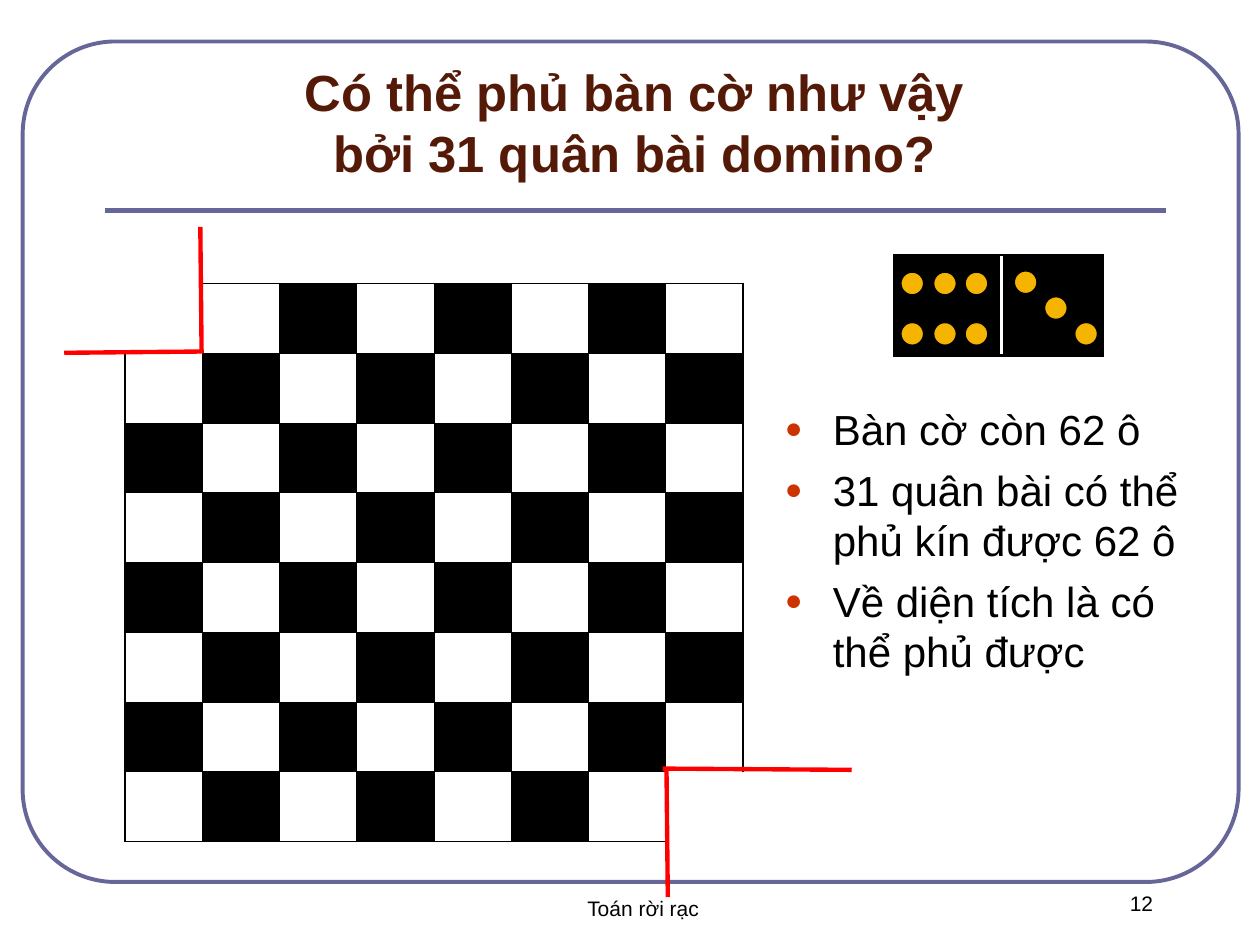
from itertools import product

from lxml.etree import SubElement
from pptx import Presentation
from pptx.dml.color import RGBColor
from pptx.enum.shapes import MSO_CONNECTOR as CONN, MSO_SHAPE as SHAPE
from pptx.enum.text import MSO_ANCHOR as ANCHOR, MSO_AUTO_SIZE as AUTO, PP_ALIGN as ALIGN
from pptx.oxml.ns import qn
from pptx.util import Inches, Pt

BLACK = RGBColor(0x00, 0x00, 0x00)
WHITE = RGBColor(0xFF, 0xFF, 0xFF)
SLATE = RGBColor(0x66, 0x66, 0x99)
BROWN = RGBColor(0x55, 0x1A, 0x07)
RUST = RGBColor(0xCC, 0x33, 0x00)
GOLD = RGBColor(0xF4, 0xB4, 0x00)
RED = RGBColor(0xFF, 0x00, 0x00)

FONT = "Arial"
N = 8
REMOVED = {(0, 0), (N - 1, N - 1)}
THIN, THICK = 0.45, 1.08


def place(sp, box):
    sp.left, sp.top, sp.width, sp.height = (Inches(v) for v in box)


def format_runs(p, size, color, bold=False):
    for r in p.runs:
        r.font.name, r.font.size, r.font.bold = FONT, Pt(size), bold
        r.font.color.rgb = color


def add_line(shapes, x1, y1, x2, y2, color, width):
    line = shapes.add_connector(CONN.STRAIGHT, Inches(x1), Inches(y1), Inches(x2), Inches(y2))
    line.line.color.rgb = color
    line.line.width = Pt(width)
    SubElement(line._element.spPr, qn("a:effectLst"))


def add_table(slide, rows, cols, box):
    table = slide.shapes.add_table(rows, cols, *(Inches(v) for v in box)).table
    table.first_row = table.horz_banding = False
    return table


def set_borders(cell, widths):
    """Widths run left, right, top, bottom; zero means no line."""
    tc_pr = cell._tc.get_or_add_tcPr()
    for side, width in zip("LRTB", widths):
        ln = SubElement(tc_pr, qn(f"a:ln{side}"), w=str(int(Pt(width))))
        if width:
            fill = SubElement(ln, qn("a:solidFill"))
            SubElement(fill, qn("a:srgbClr"), val=str(BLACK))
        else:
            SubElement(ln, qn("a:noFill"))


def fill_cell(cell, dark):
    if dark:
        cell.fill.solid()
        cell.fill.fore_color.rgb = BLACK
    else:
        cell.fill.background()


def add_frame(slide, box):
    sp = slide.shapes.add_shape(SHAPE.ROUNDED_RECTANGLE, *(Inches(v) for v in box))
    sp.adjustments[0] = 0.11
    sp.shadow.inherit = False
    sp.fill.background()
    sp.line.color.rgb = SLATE
    sp.line.width = Pt(2.25)
    add_line(slide.shapes, 0.83, 1.67, 9.25, 1.67, SLATE, 3)


def add_title(slide, box):
    sp = slide.shapes.title
    place(sp, box)
    tf = sp.text_frame
    tf.text = "Có thể phủ bàn cờ như vậy\vbởi 31 quân bài domino?"
    tf.auto_size = AUTO.NONE
    tf.vertical_anchor = ANCHOR.BOTTOM
    p = tf.paragraphs[0]
    p.alignment = ALIGN.CENTER
    format_runs(p, 29, BROWN, bold=True)


def add_bullets(slide, box, items):
    sp = slide.placeholders[1]
    place(sp, box)
    tf = sp.text_frame
    tf.text = "\n".join(items)
    tf.auto_size = AUTO.NONE
    for p in tf.paragraphs:
        p.space_before = Pt(6)
        format_runs(p, 24, BLACK)
        p_pr = p._p.get_or_add_pPr()
        p_pr.set("marL", str(Inches(0.38)))
        p_pr.set("indent", str(-Inches(0.38)))
        SubElement(SubElement(p_pr, qn("a:buClr")), qn("a:srgbClr"), val=str(RUST))
        SubElement(p_pr, qn("a:buSzPct"), val="70000")
        SubElement(p_pr, qn("a:buFont"), typeface=FONT)
        SubElement(p_pr, qn("a:buChar"), char="●")


def add_footer(slide, box, text):
    tf = slide.shapes.add_textbox(*(Inches(v) for v in box)).text_frame
    tf.word_wrap = True
    tf.text = text
    tf.paragraphs[0].alignment = ALIGN.CENTER
    format_runs(tf.paragraphs[0], 12, BLACK)


def edge_width(square, neighbour):
    if square in REMOVED or neighbour in REMOVED:
        return 0
    return THIN if all(0 <= i < N for i in neighbour) else THICK


def add_board(slide, box):
    table = add_table(slide, N, N, box)
    for row, col in product(range(N), repeat=2):
        cell = table.cell(row, col)
        neighbours = (row, col - 1), (row, col + 1), (row - 1, col), (row + 1, col)
        set_borders(cell, [edge_width((row, col), n) for n in neighbours])
        fill_cell(cell, (row + col) % 2 == 0 and (row, col) not in REMOVED)

    # Red cuts around the two removed corners
    for ends in [(1.59, 1.8, 1.6, 2.8), (1.61, 2.79, 0.51, 2.8),
                 (5.26, 6.1, 6.76, 6.11), (5.29, 6.12, 5.3, 7.12)]:
        add_line(slide.shapes, *ends, RED, 2.5)


def add_domino(slide, box):
    left, top, width, height = box
    table = add_table(slide, 1, 2, box)
    for i, col_width in enumerate((0.92, width - 0.92)):
        table.columns[i].width = Inches(col_width)
        set_borders(table.cell(0, i), [THIN] * 4)
        fill_cell(table.cell(0, i), True)

    # Divider and pips: six on the left half, three on the right
    shapes = slide.shapes.add_group_shape().shapes
    add_line(shapes, left + 0.86, top + 0.01, left + 0.86, top + height - 0.02, WHITE, 1.5)
    six = list(product((0.06, 0.32, 0.57), (0.14, 0.54)))
    three = [(0.96 + 0.24 * i, 0.13 + 0.205 * i) for i in range(3)]
    for x, y in six + three:
        pip = shapes.add_shape(SHAPE.OVAL, Inches(left + x), Inches(top + y),
                               Inches(0.18), Inches(0.18))
        pip.shadow.inherit = False
        pip.fill.solid()
        pip.fill.fore_color.rgb = GOLD
        pip.line.color.rgb = BLACK
        pip.line.width = Pt(0.75)


def main():
    prs = Presentation()
    prs.slide_width, prs.slide_height = Inches(10), Inches(7.5)
    slide = prs.slides.add_slide(prs.slide_layouts[1])
    add_frame(slide, (0.18, 0.33, 9.65, 6.67))
    add_footer(slide, (8.43, 7.02, 1.26, 0.5), "12")
    add_footer(slide, (2.62, 7.06, 4.97, 0.5), "Toán rời rạc")
    add_title(slide, (0.83, 0.42, 8.42, 1.08))
    add_bullets(slide, (6.13, 3.15, 3.58, 3.6), [
        "Bàn cờ còn 62 ô",
        "31 quân bài có thể phủ kín được 62 ô",
        "Về diện tích là có thể phủ được",
    ])
    add_board(slide, (0.99, 2.25, 4.91, 4.43))
    add_domino(slide, (7.09, 2.02, 1.67, 0.81))
    prs.save("out.pptx")


if __name__ == "__main__":
    main()
